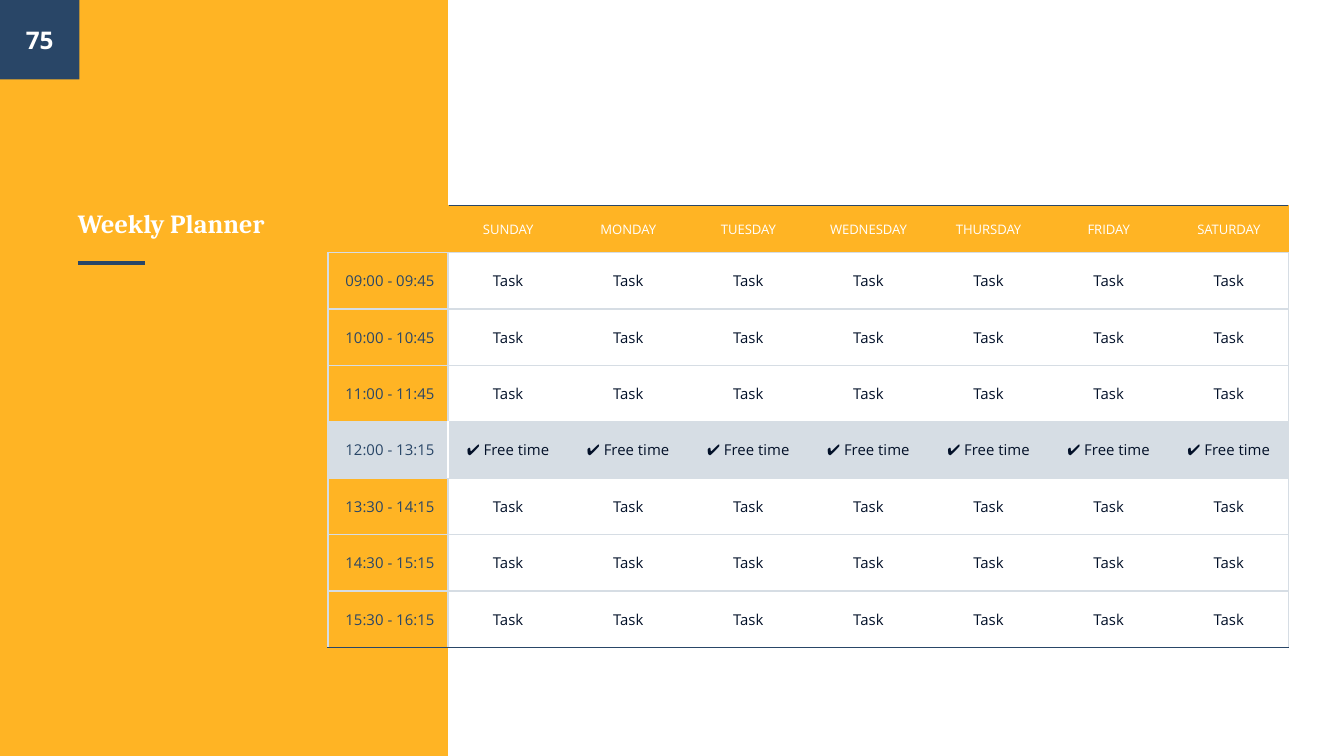
"""Build a weekly planner slide with a timetable of tasks and free time."""
from lxml import etree
from pptx import Presentation
from pptx import util as u
from pptx.dml.color import RGBColor
from pptx.enum import shapes, text
from pptx.oxml.ns import qn

TITLE = "Weekly Planner"
PAGE = "75"
DAYS = ["SUNDAY", "MONDAY", "TUESDAY", "WEDNESDAY", "THURSDAY", "FRIDAY", "SATURDAY"]
HOURS = [
    ("09:00 - 09:45", "Task"),
    ("10:00 - 10:45", "Task"),
    ("11:00 - 11:45", "Task"),
    ("12:00 - 13:15", "✔ Free time"),
    ("13:30 - 14:15", "Task"),
    ("14:30 - 15:15", "Task"),
    ("15:30 - 16:15", "Task"),
]
BREAK = 4

AMBER = RGBColor(0xFF, 0xA8, 0x00)
GOLD = RGBColor(0xFF, 0xB4, 0x24)
NAVY = RGBColor(0x29, 0x46, 0x67)
MIST = RGBColor(0xD6, 0xDD, 0xE4)
INK = RGBColor(0x02, 0x10, 0x28)
WHITE = RGBColor(0xFF, 0xFF, 0xFF)
SERIF, SANS = "Cambria", "Open Sans"
ALIGN, ANCHOR = text.PP_ALIGN, text.MSO_ANCHOR

WIDE = u.Inches(10)
HIGH = WIDE * 9 // 16
PANEL = WIDE // 3
BADGE = u.Inches(0.59)
PAD = u.Inches(0.1)
LEFT, TOP, SPAN = u.Inches(2.44), u.Inches(1.53), u.Inches(7.15)
HEAD, ROW = u.Inches(0.35), u.Inches(0.42)


def block(slide, left, width, height, color):
    """Add a plain filled rectangle at the top of the slide."""
    box = slide.shapes.add_shape(shapes.MSO_SHAPE.RECTANGLE, left, 0, width, height)
    box.shadow.inherit = False
    box.fill.solid()
    box.fill.fore_color.rgb = color
    box.line.fill.background()
    return box


def inset(item):
    """Set equal margins on a cell or text frame."""
    item.margin_left = item.margin_right = item.margin_top = item.margin_bottom = PAD


def write(frame, words, size, color, align, face=SANS, bold=False):
    """Add one formatted run to the first paragraph of a frame."""
    para = frame.paragraphs[0]
    para.alignment = align
    run = para.add_run()
    run.text = words
    font = run.font
    font.name, font.size, font.bold = face, u.Pt(size), bold
    font.color.rgb = color


def edge(cell, sides):
    """Draw the given sides of a cell and clear the rest."""
    props = cell._tc.get_or_add_tcPr()
    for side in "LRTB":
        line = etree.SubElement(props, qn(f"a:ln{side}"), w=str(u.Pt(0.75)))
        color = sides.get(side)
        if color is None:
            etree.SubElement(line, qn("a:noFill"))
        else:
            fill = etree.SubElement(line, qn("a:solidFill"))
            etree.SubElement(fill, qn("a:srgbClr"), val=str(color))


def rules(row, col):
    """Return the border colours of a cell by side."""
    if row == 0:
        if col == 0:
            return {"R": GOLD, "B": MIST}
        sides = {"T": NAVY, "B": MIST}
        outer = split = GOLD
    else:
        sides = {"T": MIST, "B": NAVY if row == len(HOURS) else MIST}
        outer, split = MIST, WHITE if row == BREAK else MIST
    if col == 0:
        sides.update(L=outer, R=split)
    elif col == 1:
        sides["L"] = split
    elif col == len(DAYS):
        sides["R"] = outer
    return sides


def plan(slide):
    """Add the timetable."""
    rows = [[""] + DAYS] + [[hour] + [task] * len(DAYS) for hour, task in HOURS]
    count = len(rows[0])
    frame = slide.shapes.add_table(
        len(rows), count, LEFT, TOP, SPAN, HEAD + ROW * len(HOURS))
    table = frame.table
    table.first_row = table.horz_banding = False
    for col in table.columns:
        col.width = SPAN // count
    for r, row in enumerate(rows):
        table.rows[r].height = ROW if r else HEAD
        for c, words in enumerate(row):
            cell = table.cell(r, c)
            inset(cell)
            cell.vertical_anchor = ANCHOR.MIDDLE
            edge(cell, rules(r, c))
            fill = MIST if r == BREAK else GOLD if r == 0 and c else None
            if fill is None:
                cell.fill.background()
            else:
                cell.fill.solid()
                cell.fill.fore_color.rgb = fill
            if words:
                color = WHITE if r == 0 else INK if c else NAVY
                write(cell.text_frame, words, 8 if r else 7, color,
                      ALIGN.CENTER if c else ALIGN.RIGHT)
            else:
                para = cell.text_frame.paragraphs[0]
                etree.SubElement(para._p, qn("a:endParaRPr"), sz="800")


def main():
    """Build and save the slide."""
    deck = Presentation()
    deck.slide_width, deck.slide_height = WIDE, HIGH
    slide = deck.slides.add_slide(deck.slide_layouts[5])

    panel = block(slide, 0, PANEL, HIGH, AMBER)
    tint = panel.element.find(".//" + qn("a:srgbClr"))
    etree.SubElement(tint, qn("a:alpha"), val="86000")
    block(slide, PANEL, WIDE - PANEL, HIGH, WHITE)

    dash = slide.shapes.add_connector(
        shapes.MSO_CONNECTOR.STRAIGHT,
        u.Inches(0.58), u.Inches(1.96), u.Inches(1.08), u.Inches(1.96))
    dash.line.color.rgb = NAVY
    dash.line.width = u.Pt(2.25)
    etree.SubElement(dash.element.spPr, qn("a:effectLst"))
    block(slide, 0, BADGE, BADGE, NAVY)

    title = slide.shapes.title
    title.left, title.top = u.Inches(0.48), u.Inches(1.14)
    title.width, title.height = u.Inches(2.35), u.Inches(0.74)
    slide.shapes.element.append(title.element)
    page = slide.shapes.add_textbox(0, 0, BADGE, BADGE)
    for box, anchor in ((title, ANCHOR.BOTTOM), (page, ANCHOR.MIDDLE)):
        frame = box.text_frame
        frame.word_wrap = True
        frame.auto_size = text.MSO_AUTO_SIZE.NONE
        frame.vertical_anchor = anchor
        inset(frame)
    write(title.text_frame, TITLE, 14, WHITE, ALIGN.LEFT, SERIF, True)
    write(page.text_frame, PAGE, 13, WHITE, ALIGN.CENTER, SANS, True)

    plan(slide)
    deck.save("out.pptx")


if __name__ == "__main__":
    main()
